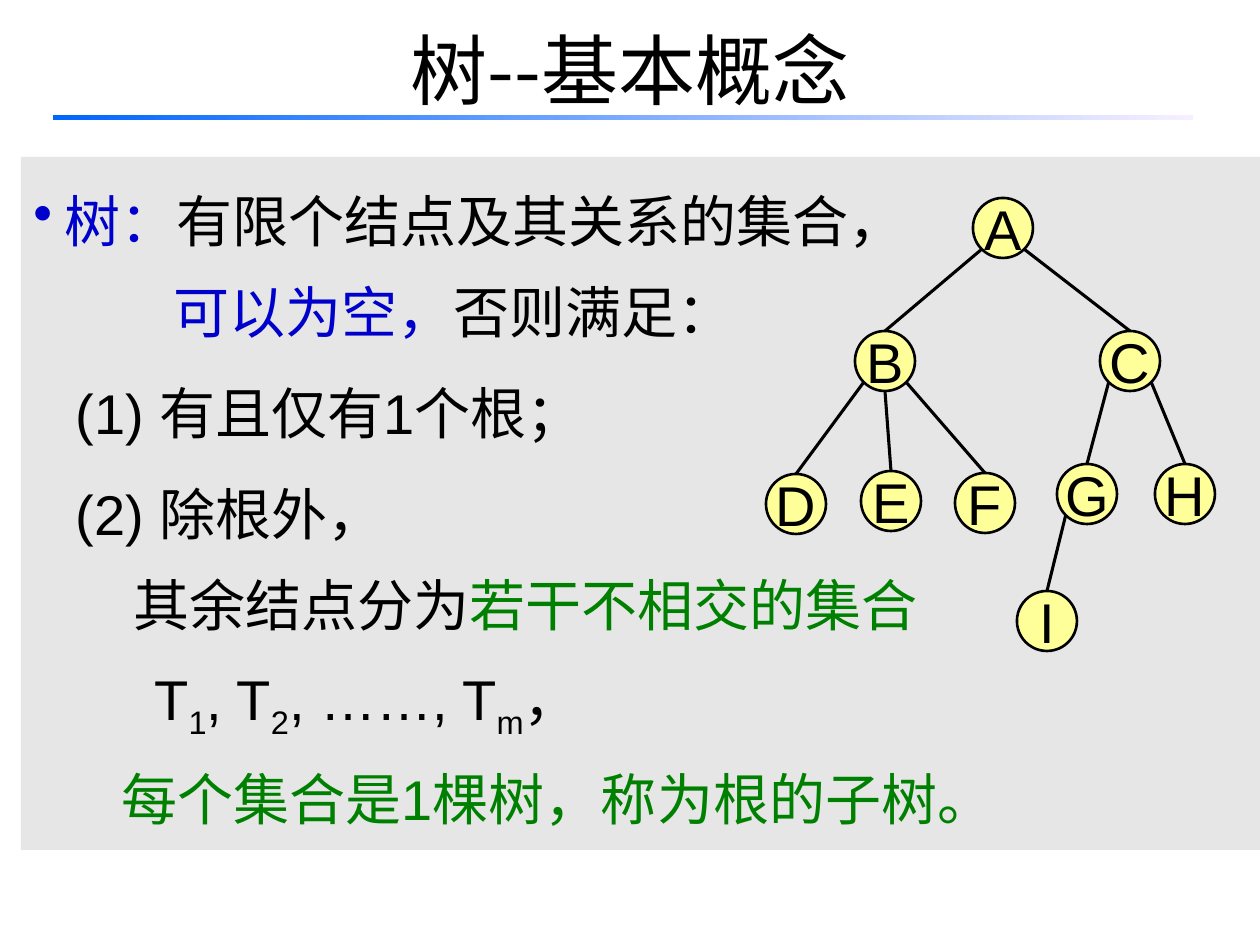
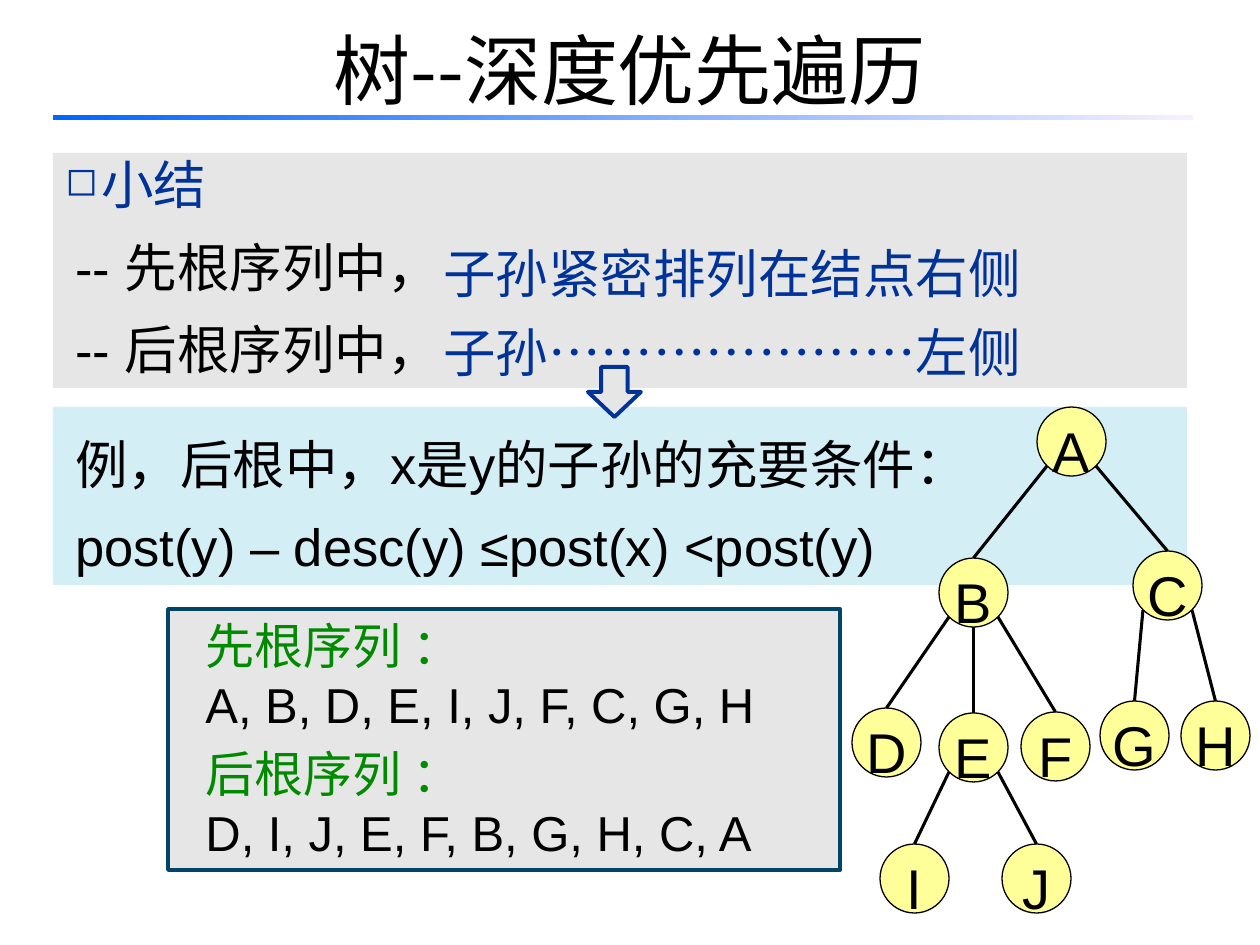
from lxml import etree
from pptx import Presentation
from pptx import util as u
from pptx.dml.color import RGBColor
from pptx.enum import shapes, text
from pptx.oxml.ns import qn

PX = 914400 / 126
BLACK = RGBColor(0x00, 0x00, 0x00)
GREY = RGBColor(0xE6, 0xE6, 0xE6)
ICE = RGBColor(0xD4, 0xEE, 0xF6)
TEAL = RGBColor(0x00, 0x45, 0x68)
NAVY = RGBColor(0x00, 0x33, 0x99)
BLUE = RGBColor(0x00, 0x00, 0xCC)
GREEN = RGBColor(0x00, 0x80, 0x00)
LEAF = RGBColor(0x00, 0x8A, 0x00)
YELLOW = RGBColor(0xFF, 0xFF, 0x99)
FADE = [RGBColor(0x00, 0x66, 0xFF), RGBColor(0xF7, 0xEF, 0xFF)]
HAN = "Noto Sans CJK SC"
MSO, ALIGN = shapes.MSO_SHAPE, text.PP_ALIGN
TOP, MID = text.MSO_ANCHOR.TOP, text.MSO_ANCHOR.MIDDLE


def add_box(slide, kind, area, fill=None, line=None, width=1):
    """Add a preset shape, or a text box when kind is None; area is in px."""
    area = [round(n * PX) for n in area]
    if kind is None:
        return slide.shapes.add_textbox(*area)
    box = slide.shapes.add_shape(kind, *area)
    box.shadow.inherit = False
    if fill is not None:
        box.fill.solid()
        box.fill.fore_color.rgb = fill
    if line is None:
        box.line.fill.background()
    else:
        box.line.color.rgb = line
        box.line.width = u.Pt(width)
    return box


def write(box, size, paras, latin="Arial", anchor=TOP, wrap=True):
    """Fill a box with (format, runs); a run is text, colour and maybe baseline."""
    frame = box.text_frame
    frame.word_wrap, frame.vertical_anchor = wrap, anchor
    for i, (form, runs) in enumerate(paras):
        para = frame.paragraphs[0] if i == 0 else frame.add_paragraph()
        form = {"alignment": ALIGN.LEFT} | form
        left, mark = form.pop("left", 0), form.pop("mark", None)
        for key, val in form.items():
            setattr(para, key, val)
        props = para._p.get_or_add_pPr()
        props.set("marL", str(round(left * PX)))
        props.set("indent", str(round(-left * PX) if mark else 0))
        if mark:
            char, pct = mark
            etree.SubElement(props, qn("a:buSzPct"), val=str(pct * 1000))
            etree.SubElement(props, qn("a:buChar"), char=char)
        for words, color, *base in runs:
            run = para.add_run()
            run.text = words
            for key, val in {"size": u.Pt(size), "name": latin}.items():
                setattr(run.font, key, val)
            run.font.color.rgb = color
            rpr = run._r.get_or_add_rPr()
            etree.SubElement(rpr, qn("a:ea"), typeface=HAN)
            if base:
                rpr.set("baseline", str(base[0] * 1000))


deck = Presentation()
deck.slide_width, deck.slide_height = u.Inches(10), u.Inches(7.5)

# Titles and gradient rules
pages = []
for name in ["树--基本概念", "树--深度优先遍历"]:
    page = deck.slides.add_slide(deck.slide_layouts[6])
    title = add_box(page, None, (63, -10, 1134, 158))
    write(title, 44, [({"alignment": ALIGN.CENTER}, [(name, BLACK)])], HAN, MID)
    rule = add_box(page, MSO.RECTANGLE, (53, 115, 1140, 5))
    rule.fill.gradient()
    rule.fill.gradient_angle = 0
    for stop, color in zip(rule.fill.gradient_stops, FADE):
        stop.color.rgb = color
    pages.append(page)
basics, walk = pages

# Definition of a tree
wide = {"line_spacing": 1.35}
apart = wide | {"space_before": u.Pt(6), "left": 42}
panel = add_box(basics, MSO.RECTANGLE, (21, 157, 1239, 693), GREY)
write(panel, 32, [
    (wide | {"left": 31, "mark": ("•", 100)},
     [("树：", BLUE), ("有限个结点及其关系的集合，", BLACK)]),
    (wide | {"left": 140}, [("可以为空，", BLUE), ("否则满足：", BLACK)]),
    (apart, [("(1) 有且仅有1个根；", BLACK)]),
    (apart, [("(2) 除根外，", BLACK)]),
    (wide | {"left": 100}, [("其余结点分为", BLACK), ("若干不相交的集合", GREEN)]),
    (wide | {"left": 121},
     [("T", BLACK), ("1", BLACK, -25), (", T", BLACK), ("2", BLACK, -25),
      (", ……, T", BLACK), ("m", BLACK, -25), ("，", BLACK)]),
    (wide | {"left": 88}, [("每个集合是1棵树，称为根的子树。", GREEN)]),
])

# Summary of depth-first orders
loose = {"line_spacing": 1.3, "left": 10}
summary = add_box(walk, MSO.RECTANGLE, (53, 153, 1134, 235), GREY)
write(summary, 30, [
    ({"line_spacing": 0.9, "left": 36, "mark": ("◻", 75)}, [("小结", NAVY)]),
    (loose, [("-- 先根序列中，", BLACK)]),
    (loose, [("-- 后根序列中，", BLACK)]),
])
rule = add_box(walk, MSO.RECTANGLE, (53, 407, 1134, 178), ICE)
write(rule, 30, [
    (loose, [("例，后根中，x是y的子孙的充要条件：", BLACK)]),
    (loose, [("post(y) – desc(y) ≤post(x) <post(y)", BLACK)]),
])
orders = add_box(walk, MSO.RECTANGLE, (168, 609, 672, 261), GREY, TEAL, 2.25)
write(orders, 28, [
    ({"left": 25}, [("先根序列 ：", LEAF)]),
    ({"left": 25}, [("A, B, D, E, I, J, F, C, G, H", BLACK)]),
    ({"left": 25, "space_before": u.Pt(6)}, [("后根序列 ：", LEAF)]),
    ({"left": 25}, [("D, I, J, E, F, B, G, H, C, A", BLACK)]),
])
add_box(walk, MSO.DOWN_ARROW, (588, 367, 53, 50), GREY, NAVY, 2.25)
for y, space, words in [(219, 1.25, "子孙紧密排列在结点右侧"),
                        (295, 1.3, "子孙…………………左侧")]:
    note = add_box(walk, None, (431, y, 640, 85))
    write(note, 30, [({"line_spacing": space}, [(words, NAVY)])])

# Trees: page, node size, outline, line spacing, node corners, edges.
# An edge is parent, child and the side of the parent it leaves from.
trees = [
    (basics, 60, 1.5, 1.0,
     {"A": (973, 198), "B": (855, 331), "C": (1100, 331), "D": (766, 474),
      "E": (861, 471), "F": (955, 473), "G": (1057, 464), "H": (1155, 464),
      "I": (1017, 591)},
     [("A", "B", -1), ("A", "C", 1), ("B", "D", -1), ("B", "E", 0),
      ("B", "F", 1), ("C", "G", -1), ("C", "H", 1), ("G", "I", -1)]),
    (walk, 69, 0.75, 1.25,
     {"A": (1037, 407), "B": (939, 558), "C": (1133, 551), "D": (852, 708),
      "E": (939, 713), "F": (1021, 712), "G": (1100, 701), "H": (1181, 701),
      "I": (880, 844), "J": (1002, 844)},
     [("A", "B", -1), ("A", "C", 1), ("B", "D", -1), ("B", "E", 0),
      ("B", "F", 1), ("C", "G", -1), ("C", "H", 1), ("E", "I", -1),
      ("E", "J", 1)]),
]
for page, size, width, space, spots, edges in trees:
    nodes = {}
    for name, spot in spots.items():
        node = add_box(page, MSO.OVAL, (*spot, size, size), YELLOW, BLACK, width)
        form = {"alignment": ALIGN.CENTER, "line_spacing": space}
        write(node, 32, [(form, [(name, BLACK)])], anchor=MID, wrap=False)
        nodes[name] = node
    for head, child, side in edges:
        top, half = nodes[head], nodes[head].width / 2
        drop = half * 0.71 if side else half
        x = round(top.left + half + side * drop)
        y = round(top.top + half + drop)
        edge = page.shapes.add_connector(shapes.MSO_CONNECTOR.STRAIGHT, x, y, x, y)
        edge.end_connect(nodes[child], 0)
        edge.line.color.rgb = BLACK
        edge.line.width = u.Pt(1.75)
        etree.SubElement(edge._element.spPr, qn("a:effectLst"))

deck.save("out.pptx")
